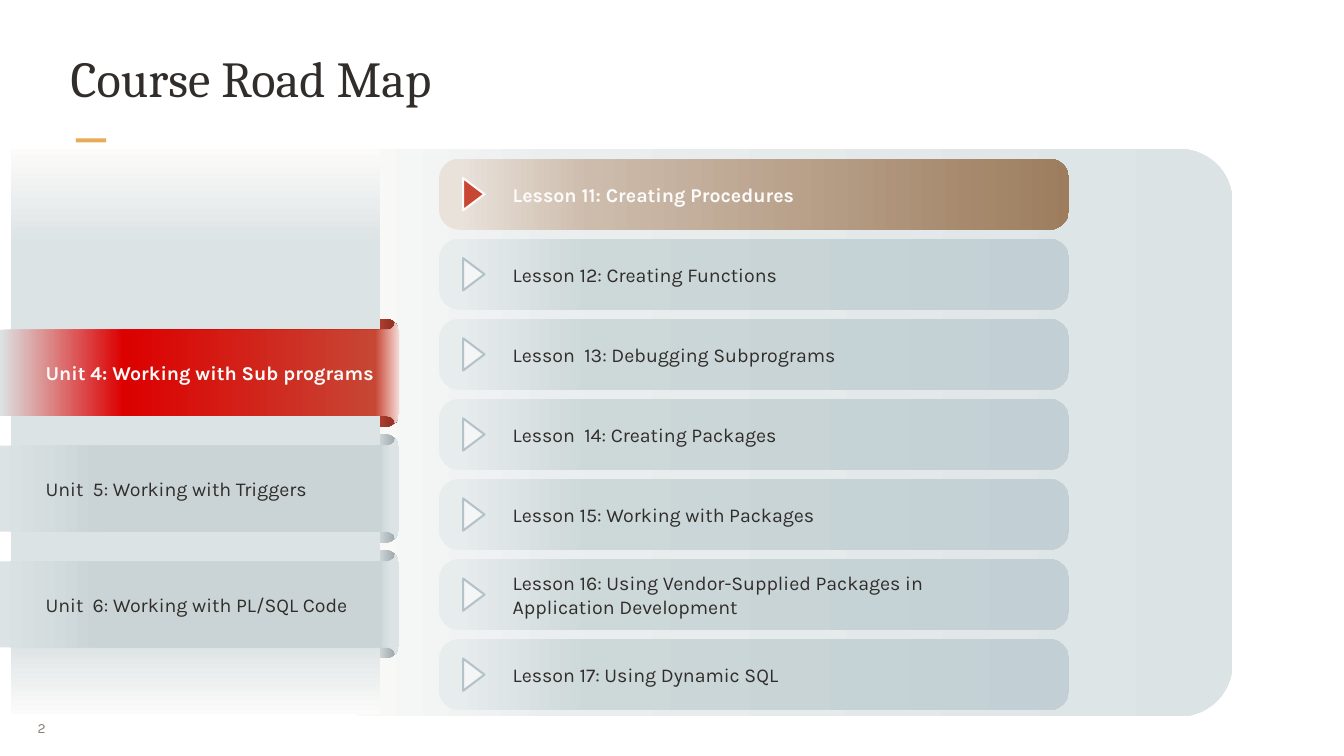
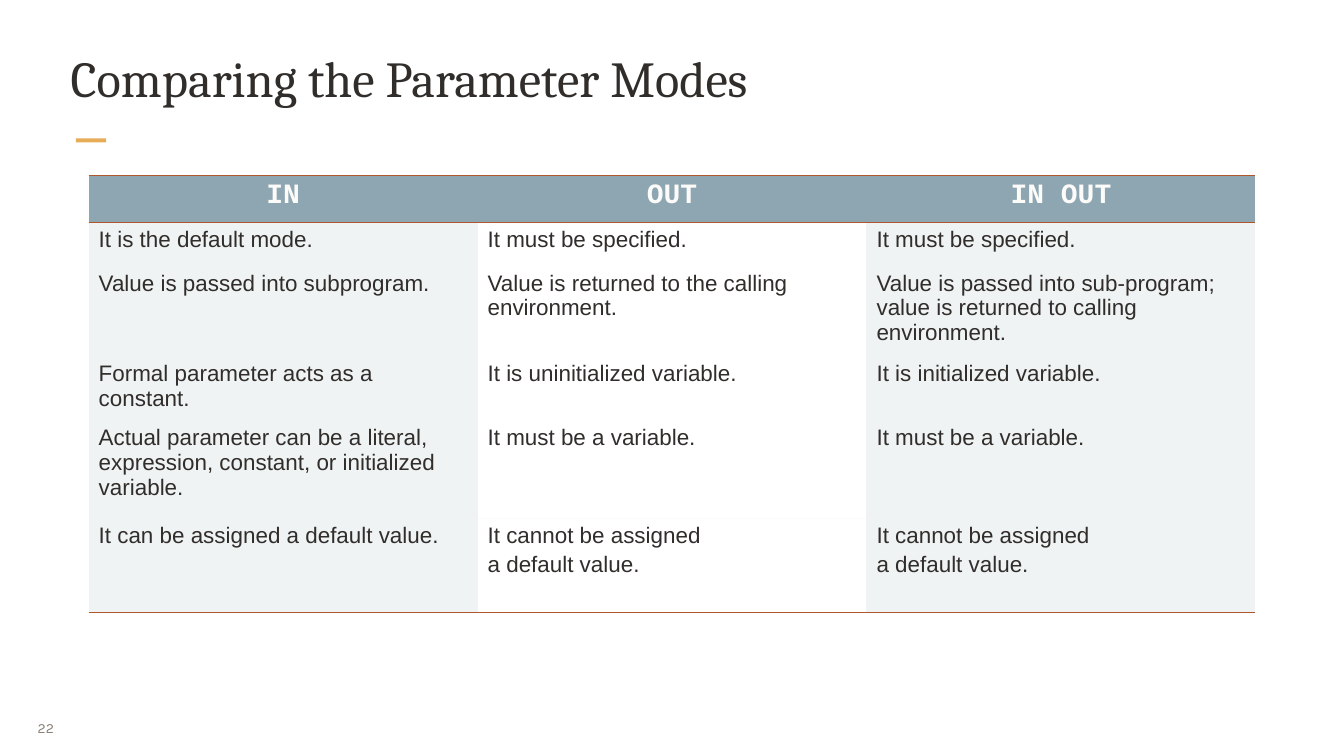
from lxml import etree
from pptx import Presentation
from pptx.dml.color import RGBColor
from pptx.enum.shapes import MSO_SHAPE
from pptx.enum.text import MSO_ANCHOR, MSO_AUTO_SIZE, PP_ALIGN
from pptx.oxml.ns import qn
from pptx.util import Pt

RECTANGLE = MSO_SHAPE.RECTANGLE
ROUNDED = MSO_SHAPE.ROUNDED_RECTANGLE
TRIANGLE = MSO_SHAPE.ISOSCELES_TRIANGLE
TOP, MIDDLE = MSO_ANCHOR.TOP, MSO_ANCHOR.MIDDLE
CENTER, LEFT = PP_ALIGN.CENTER, PP_ALIGN.LEFT
GROW = MSO_AUTO_SIZE.SHAPE_TO_FIT_TEXT

INK = RGBColor(0x31, 0x2D, 0x2A)
PAPER = RGBColor(0xFC, 0xFB, 0xFA)
GREY = RGBColor(0x8B, 0x80, 0x78)
GOLD = RGBColor(0xE6, 0xAC, 0x58)
MIST = RGBColor(0xDC, 0xE3, 0xE4)
PALE = RGBColor(0xEA, 0xEE, 0xEF)
FOG = RGBColor(0xDE, 0xE4, 0xE5)
STEEL = RGBColor(0x96, 0xA2, 0xA7)
SILVER = RGBColor(0xCA, 0xD4, 0xD7)
BRICK = RGBColor(0xC7, 0x46, 0x34)
DARK_BRICK = RGBColor(0x95, 0x34, 0x27)
RED = RGBColor(0xDC, 0x00, 0x00)
BLUSH = RGBColor(0xF4, 0xDA, 0xD6)
SAND = RGBColor(0xE9, 0xE2, 0xDB)
TAN = RGBColor(0xCD, 0xBC, 0xAC)
BROWN = RGBColor(0x9D, 0x7D, 0x5E)
ICE = RGBColor(0xE7, 0xEC, 0xED)
SAGE = RGBColor(0xCD, 0xD8, 0xD9)
CLOUD = RGBColor(0xC2, 0xCF, 0xD4)
ARROW_FILL = RGBColor(0xF3, 0xF5, 0xF6)
ARROW_LINE = RGBColor(0xB4, 0xC3, 0xC9)
HEADER_BLUE = RGBColor(0x8D, 0xA6, 0xB1)
COLUMN_TINT = RGBColor(0xEF, 0xF3, 0xF4)
RUST = RGBColor(0xAE, 0x56, 0x2C)

TITLE_FONT = {"name": "Cambria", "size": Pt(54), "bold": False}
LABEL_FONT = {"name": "Karla", "size": Pt(21), "bold": False}
ACTIVE_FONT = {**LABEL_FONT, "bold": True}
NUMBER_FONT = {"name": "Karla", "size": Pt(15), "bold": False}
HEADER_FONT = {"name": "Courier New", "size": Pt(30), "bold": True}
CELL_FONT = {"name": "Arial", "size": Pt(24), "bold": False}

# Gradients: (position in percent, colour)
PANEL_FADE = [(0, PAPER), (26, PALE), (100, MIST)]
SIDEBAR_FADE = [(0, PAPER), (17, MIST), (87, MIST), (100, PAPER)]
ACTIVE_UNIT = {
    "font": ACTIVE_FONT, "ink": PAPER, "text_width": 392.4,
    "curl": [(73, BRICK), (92, DARK_BRICK)],
    "ribbon": [(0, MIST), (31, RED), (94, BRICK), (100, BLUSH)],
}
OTHER_UNIT = {
    "font": LABEL_FONT, "ink": INK, "text_width": 366.5,
    "curl": [(77, FOG), (99, STEEL)],
    "ribbon": [(0, MIST), (25, SILVER), (95, SILVER), (98, MIST)],
}
ACTIVE_LESSON = {
    "font": ACTIVE_FONT, "ink": PAPER, "arrow": BRICK, "arrow_line": PAPER,
    "bar": [(3, SAND), (24, TAN), (100, BROWN)],
}
OTHER_LESSON = {
    "font": LABEL_FONT, "ink": INK, "arrow": ARROW_FILL, "arrow_line": ARROW_LINE,
    "bar": [(3, ICE), (24, SAGE), (100, CLOUD)],
}

ROAD_MAP_TITLE = "Course Road Map"
UNITS = [
    ("Unit 4: Working with Sub programs", ACTIVE_UNIT),
    ("Unit  5: Working with Triggers", OTHER_UNIT),
    ("Unit  6: Working with PL/SQL Code", OTHER_UNIT),
]
LESSONS = [
    ("Lesson 11: Creating Procedures", ACTIVE_LESSON),
    ("Lesson 12: Creating Functions", OTHER_LESSON),
    ("Lesson  13: Debugging Subprograms", OTHER_LESSON),
    ("Lesson  14: Creating Packages", OTHER_LESSON),
    ("Lesson 15: Working with Packages", OTHER_LESSON),
    ("Lesson 16: Using Vendor-Supplied Packages in Application Development",
     OTHER_LESSON),
    ("Lesson 17: Using Dynamic SQL", OTHER_LESSON),
]
MODES_TITLE = "Comparing the Parameter Modes"
MODES = [
    ("IN", "OUT", "IN OUT"),
    ("It is the default mode.", "It must be specified.", "It must be specified."),
    ("Value is passed into subprogram.",
     "Value is returned to the calling environment.",
     "Value is passed into sub-program; value is returned to calling environment."),
    ("Formal parameter acts as a constant.", "It is uninitialized variable.",
     "It is initialized variable."),
    ("Actual parameter can be a literal, expression, constant, or initialized variable.",
     "It must be a variable.", "It must be a variable."),
    ("It can be assigned a default value.",
     "It cannot be assigned\na default value.",
     "It cannot be assigned\na default value."),
]
ROW_HEIGHTS = [50.4, 46.8, 97.2, 68.4, 104.4, 100.8]
COLUMN_WIDTH = 416.7
NO_GRID_STYLE = "{2D5ABB26-0587-4C30-8999-92F81FD0307C}"

UNIT_TOP, UNIT_PITCH = 345.6, 124
RIBBON_HEIGHT = 108
LESSON_TOP, LESSON_PITCH = 169.9, 85.8
BAR_HEIGHT = 76.3
ARROW_WIDTH, ARROW_HEIGHT = 34.6, 23


def points(*lengths):
    return [Pt(length) for length in lengths]


def write(frame, text, font, ink, align=LEFT, space_before=0):
    """Put one paragraph per line of text into the frame."""
    frame.text = text
    for index, paragraph in enumerate(frame.paragraphs):
        paragraph.alignment = align
        if index:
            paragraph.space_before = Pt(space_before)
        for name, value in font.items():
            setattr(paragraph.font, name, value)
        paragraph.font.color.rgb = ink


def add_text(shapes, box, text, font, ink, anchor=MIDDLE, insets=(7.2, 3.6), grow=False):
    frame = shapes.add_textbox(*points(*box)).text_frame
    write(frame, text, font, ink)
    side, end = points(*insets)
    settings = {"word_wrap": True, "vertical_anchor": anchor,
                "margin_left": side, "margin_right": side,
                "margin_top": end, "margin_bottom": end}
    if grow:
        settings["auto_size"] = GROW
    for name, value in settings.items():
        setattr(frame, name, value)


def paint(shape, fill, angle=0):
    """Fill with a colour or a list of gradient stops, without line or shadow."""
    shape.shadow.inherit = False
    shape.line.fill.background()
    if isinstance(fill, RGBColor):
        shape.fill.solid()
        shape.fill.fore_color.rgb = fill
        return
    shape.fill.gradient()
    shape.fill.gradient_angle = -angle % 360
    stops = shape.element.spPr.find(".//" + qn("a:gsLst"))
    for stop in list(stops):
        stops.remove(stop)
    for position, colour in fill:
        stop = etree.SubElement(stops, qn("a:gs"), pos=str(position * 1000))
        etree.SubElement(stop, qn("a:srgbClr"), val=str(colour))


def add_block(shapes, kind, box, fill, angle=0, corner=None):
    block = shapes.add_shape(kind, *points(*box))
    if corner is not None:
        block.adjustments[0] = corner
    paint(block, fill, angle)
    return block


def add_page(deck, title, number):
    """Blank slide with the shared accent, page number and title."""
    shapes = deck.slides.add_slide(deck.slide_layouts[6]).shapes
    add_block(shapes, RECTANGLE, (81.4, 148.3, 32.4, 4.3), GOLD)
    add_text(shapes, (31, 758.9, 46.8, 41.8), number, NUMBER_FONT, GREY, insets=(9.4, 5))
    add_text(shapes, (73.4, 48.2, 1293.1, 92.2), title, TITLE_FONT, INK,
             anchor=TOP, insets=(2.2, 2.2))
    return shapes


def curve(start, bend_in, bend_out, end, steps=6):
    """Points along a cubic curve, both ends included."""
    return [
        tuple((1 - t) ** 3 * a + 3 * (1 - t) ** 2 * t * b
              + 3 * (1 - t) * t ** 2 * c + t ** 3 * d
              for a, b, c, d in zip(start, bend_in, bend_out, end))
        for t in (step / steps for step in range(steps + 1))
    ]


def add_ribbon(shapes, top, fill):
    upper = [(-0.7, 13.7), (0, 7.9)]
    upper += curve((414.7, 7.9), (417.6, 7.9), (420.5, 6.5), (422.6, 3.6))
    upper += curve((423.4, 0), (426.2, 3.6), (427.7, 8.6), (427.7, 13.7))
    lower = [(x, RIBBON_HEIGHT - y) for x, y in reversed(upper)]
    outline = [points(x, top + y) for x, y in upper + lower]
    builder = shapes.build_freeform(*outline[0])
    builder.add_line_segments(outline[1:], close=True)
    paint(builder.convert_to_shape(), fill)


def add_units(shapes):
    tops = [UNIT_TOP + index * UNIT_PITCH for index in range(len(UNITS))]
    for top, (_, look) in zip(tops, UNITS):
        add_block(shapes, ROUNDED, (313.2, top - 4.2, 113.8, 115.9), look["curl"],
                  corner=0.126)
    add_block(shapes, RECTANGLE, (11.5, 159.8, 396, 605.5), SIDEBAR_FADE, angle=90)
    for top, (_, look) in zip(tops, UNITS):
        add_ribbon(shapes, top, look["ribbon"])
    for top, (name, look) in zip(tops, UNITS):
        height = 32.4
        box = (41.8, top + (RIBBON_HEIGHT - height) / 2, look["text_width"], height)
        add_text(shapes, box, name, look["font"], look["ink"], grow=True)


def add_lesson(shapes, top, name, look):
    middle = top + BAR_HEIGHT / 2
    group = shapes.add_group_shape().shapes
    add_block(group, ROUNDED, (470.2, top, 675.4, BAR_HEIGHT), look["bar"], corner=0.289)
    height = 58.3 if len(name) > 50 else 32.4
    add_text(group, (542.2, middle - height / 2, 530.6, height), name,
             look["font"], look["ink"], grow=True)
    arrow = add_block(group, TRIANGLE,
                      (490.3, middle - ARROW_HEIGHT / 2, ARROW_WIDTH, ARROW_HEIGHT),
                      look["arrow"])
    arrow.rotation = 90
    arrow.line.color.rgb = look["arrow_line"]
    arrow.line.width = Pt(2.25)


def build_road_map(deck):
    shapes = add_page(deck, ROAD_MAP_TITLE, "2")
    add_block(shapes, ROUNDED, (339.8, 159.8, 980.6, 607.7), PANEL_FADE, corner=0.093)
    add_units(shapes)
    for index, (name, look) in enumerate(LESSONS):
        add_lesson(shapes, LESSON_TOP + index * LESSON_PITCH, name, look)


def add_border(cell, side, colour):
    line = etree.Element(qn("a:" + side), w=str(Pt(1)))
    fill = etree.SubElement(line, qn("a:solidFill"))
    etree.SubElement(fill, qn("a:srgbClr"), val=str(colour))
    cell._tc.get_or_add_tcPr().insert(0, line)


def build_modes(deck):
    shapes = add_page(deck, MODES_TITLE, "22")
    columns = len(MODES[0])
    frame = shapes.add_table(len(MODES), columns, *points(
        95, 187.9, columns * COLUMN_WIDTH, sum(ROW_HEIGHTS)))
    table = frame.table
    table.first_row = table.horz_banding = False
    frame.element.find(".//" + qn("a:tableStyleId")).text = NO_GRID_STYLE
    for column in table.columns:
        column.width = Pt(COLUMN_WIDTH)
    last = len(MODES) - 1
    for r, (texts, height) in enumerate(zip(MODES, ROW_HEIGHTS)):
        table.rows[r].height = Pt(height)
        for c, text in enumerate(texts):
            cell = table.cell(r, c)
            cell.margin_left = cell.margin_right = Pt(10.8)
            cell.margin_top = cell.margin_bottom = Pt(5)
            if r == 0:
                write(cell.text_frame, text, HEADER_FONT, PAPER, align=CENTER)
            else:
                write(cell.text_frame, text, CELL_FONT, INK, space_before=4.8)
            if r and c == 1:
                cell.fill.background()
            else:
                cell.fill.solid()
                cell.fill.fore_color.rgb = COLUMN_TINT if r else HEADER_BLUE
            seam = PAPER if c == 1 else COLUMN_TINT
            below = {0: RUST, last - 1: seam, last: RUST}
            above = {0: RUST, last: seam}
            for side, edges in (("lnB", below), ("lnT", above)):
                if r in edges:
                    add_border(cell, side, edges[r])


def main():
    deck = Presentation()
    deck.slide_width, deck.slide_height = points(1440, 810)
    build_road_map(deck)
    build_modes(deck)
    deck.save("out.pptx")


if __name__ == "__main__":
    main()
